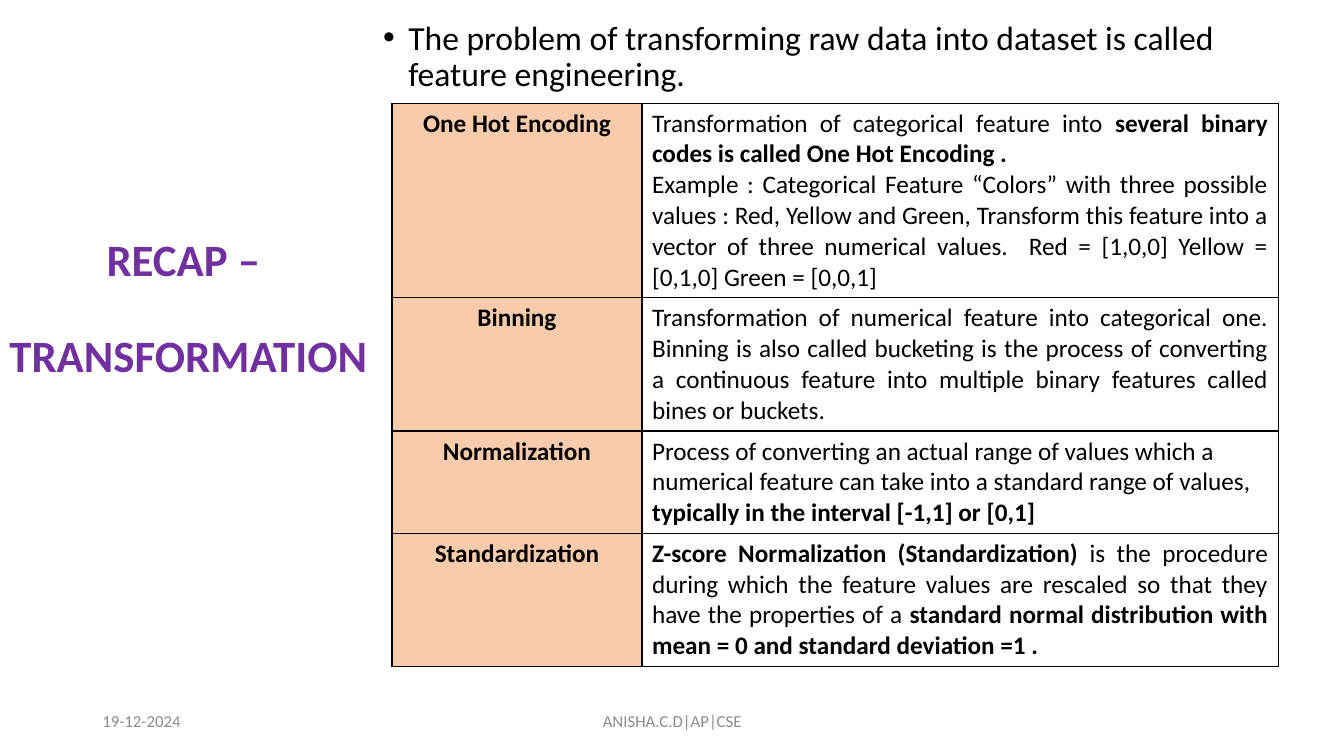
"""Build the recap slide on feature transformation."""
from lxml.etree import SubElement as Sub
from pptx import Presentation
from pptx.dml.color import RGBColor as Rgb
from pptx.enum.text import MSO_ANCHOR as Anchor, MSO_AUTO_SIZE as Fit, PP_ALIGN as Align
from pptx.oxml.ns import qn
from pptx.util import Inches, Pt

WIDE, HIGH = Inches(13.33), Inches(7.5)
PEACH, BLACK, GREY, PURPLE = "F8CBAD", "000000", "8C8C8C", "7030A0"
ROWS = [
    ("One Hot Encoding", 6, Align.JUSTIFY, [
        "Transformation of categorical feature into *several binary codes is called One Hot Encoding .*",
        "Example : Categorical Feature “Colors” with three possible values : Red, Yellow and Green, "
        "Transform this feature into a vector of three numerical values.  "
        "Red = [1,0,0] Yellow = [0,1,0] Green = [0,0,1]"]),
    ("Binning", 4, Align.JUSTIFY, [
        "Transformation of numerical feature into categorical one. Binning is also called bucketing "
        "is the process of converting a continuous feature into multiple binary features called "
        "bines or buckets."]),
    ("Normalization", 3, Align.LEFT, [
        "Process of converting an actual range of values which a numerical feature can take into "
        "a standard range of values, *typically in the interval [-1,1] or [0,1]*"]),
    ("Standardization", 4, Align.JUSTIFY, [
        "*Z-score Normalization (Standardization) *is the procedure during which the feature values "
        "are rescaled so that they have the properties of a *standard normal distribution with "
        "mean = 0 and standard deviation =1 .*"]),
]


def across(share):
    return int(WIDE * share / 100)


def down(share):
    return int(HIGH * share / 100)


def area(x, y, w, h):
    return across(x), across(w), down(y), down(h)


def place(shape, spot):
    shape.left, shape.width, shape.top, shape.height = spot


def paint(color):
    return Rgb.from_string(color)


def write(frame, lines, size=18, color=BLACK, bold=False, align=Align.LEFT,
          gap=0, lead=None, bullet=None):
    frame.word_wrap = True
    for i, line in enumerate(lines):
        para = frame.paragraphs[0] if i == 0 else frame.add_paragraph()
        if bullet:
            props = para._p.get_or_add_pPr()
            props.set("marL", str(Inches(0.25)))
            props.set("indent", str(-Inches(0.25)))
            Sub(props, qn("a:buFont")).set("typeface", "Arial")
            Sub(props, qn("a:buChar")).set("char", bullet)
        para.alignment = align
        para.space_before = Pt(gap if i else 0)
        if lead:
            para.line_spacing = lead
        for j, part in enumerate(line.split("*")):
            if part:
                run = para.add_run()
                run.text = part
                font = run.font
                font.name, font.size = "Calibri", Pt(size)
                font.bold = bold or j % 2 == 1
                font.color.rgb = paint(color)


def fill_in(holder, spot, lines, **form):
    place(holder, spot)
    frame = holder.text_frame
    frame.auto_size = Fit.NONE
    frame.vertical_anchor = Anchor.TOP
    write(frame, lines, lead=0.9, **form)


def label(slide, spot, text, **form):
    box = slide.shapes.add_textbox(0, 0, 0, 0)
    place(box, spot)
    box.text_frame.vertical_anchor = Anchor.MIDDLE
    write(box.text_frame, [text], size=12, color=GREY, **form)


def edge(cell):
    props = cell._tc.get_or_add_tcPr()
    for i, side in enumerate(("lnL", "lnR", "lnT", "lnB")):
        line = props.makeelement(qn("a:" + side), {"w": str(Pt(1))})
        Sub(Sub(line, qn("a:solidFill")), qn("a:srgbClr")).set("val", BLACK)
        props.insert(i, line)


def grid(slide, x, y, cols):
    tall = [4.07 * count + 1.33 for _, count, _, _ in ROWS]
    left, width, top, height = area(x, y, sum(cols), sum(tall))
    table = slide.shapes.add_table(len(ROWS), len(cols), left, top, width, height).table
    table.first_row = table.horz_banding = False
    for col, share in zip(table.columns, cols):
        col.width = across(share)
    for i, (name, _, align, lines) in enumerate(ROWS):
        table.rows[i].height = down(tall[i])
        term, sense = table.rows[i].cells
        term.fill.solid()
        term.fill.fore_color.rgb = paint(PEACH)
        sense.fill.background()
        write(term.text_frame, [name], bold=True, align=Align.CENTER)
        write(sense.text_frame, lines, align=align)
        edge(term)
        edge(sense)


def main():
    deck = Presentation()
    deck.slide_width, deck.slide_height = WIDE, HIGH
    slide = deck.slides.add_slide(deck.slide_layouts[1])
    title, body = slide.placeholders
    fill_in(body, area(27.75, 2.13, 65.93, 71.07),
            ["The problem of transforming raw data into dataset is called feature engineering."],
            size=24, bullet="•")
    fill_in(title, area(-2.1, 30.8, 32.25, 55.6), ["RECAP – ", "TRANSFORMATION"],
            size=32, color=PURPLE, bold=True, align=Align.CENTER, gap=34)
    grid(slide, 29.17, 13.65, (18.6, 47.33))
    label(slide, area(6.88, 92.65, 22.5, 5.32), "19-12-2024")
    label(slide, area(33.15, 92.65, 33.75, 5.32), "ANISHA.C.D|AP|CSE", align=Align.CENTER)
    deck.save("out.pptx")


if __name__ == "__main__":
    main()
